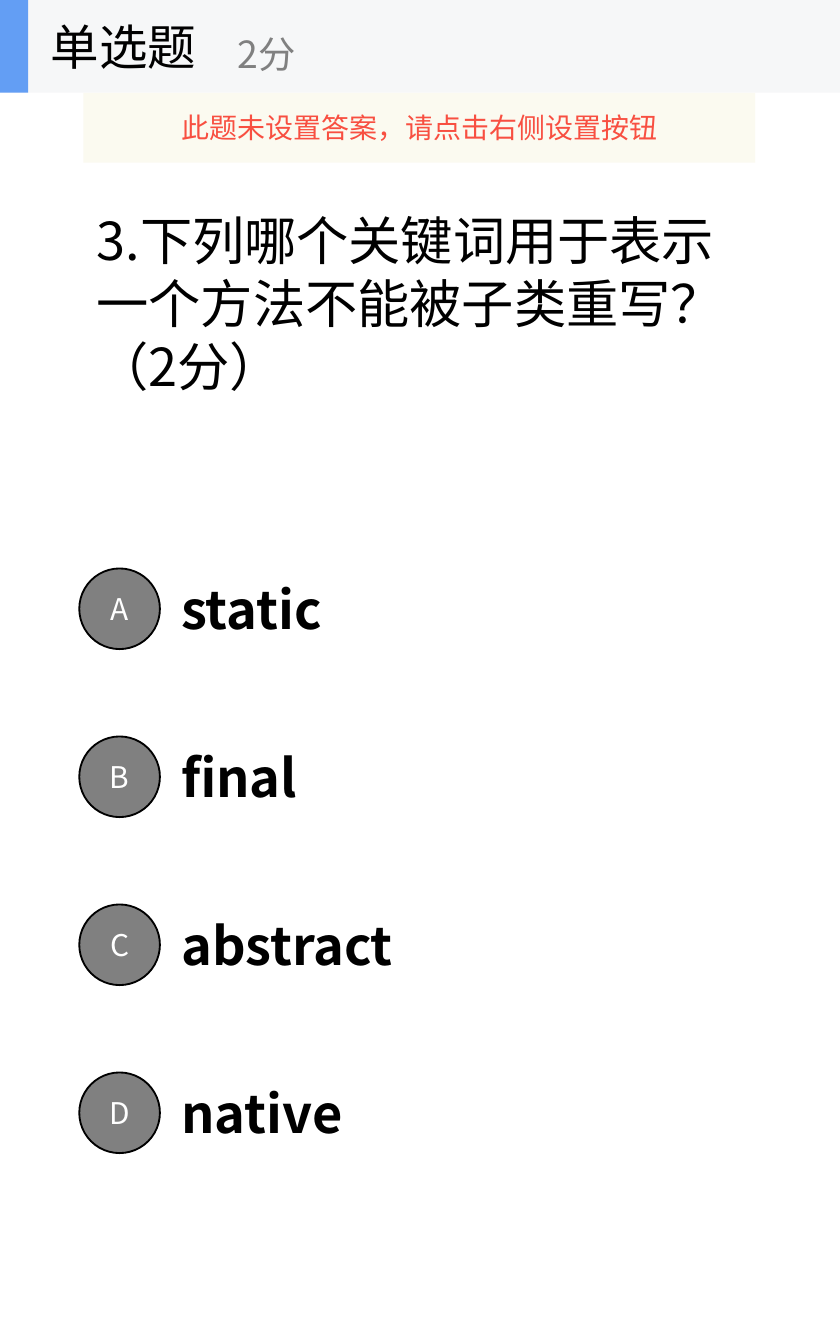
from lxml.etree import SubElement
from pptx import Presentation
from pptx.dml.color import RGBColor
from pptx.enum.shapes import MSO_SHAPE
from pptx.enum.text import MSO_ANCHOR, PP_ALIGN
from pptx.oxml.ns import qn
from pptx.util import Inches, Pt

FONT = "Noto Sans CJK SC"
QUESTION = "3.下列哪个关键词用于表示一个方法不能被子类重写？（2分）"
OPTIONS = [("A", "static"), ("B", "final"), ("C", "abstract"), ("D", "native")]
KIND = "单选题"
SCORE = "2分"
WARNING = "此题未设置答案，请点击右侧设置按钮"

WIDTH, HEIGHT = 6.25, 10
HEADER_HEIGHT = 0.69
MARGIN = 0.62
OPTION_TOP, OPTION_PITCH = 4.06, 1.25
OPTION_LEFT, OPTION_WIDTH, OPTION_HEIGHT = 1.25, 4.38, 0.94
BADGE_LEFT, BADGE_SIZE = 0.59, 0.6


def rgb(color):
    return RGBColor.from_string(color)


def write(shape, text, size, color, bold=False, align=PP_ALIGN.LEFT):
    frame = shape.text_frame
    frame.word_wrap = True
    frame.vertical_anchor = MSO_ANCHOR.MIDDLE
    paragraph = frame.paragraphs[0]
    paragraph.alignment = align
    run = paragraph.add_run()
    run.text = text
    font = run.font
    font.name, font.size, font.bold = FONT, Pt(size), bold
    font.color.rgb = rgb(color)
    SubElement(run._r.get_or_add_rPr(), qn("a:ea"), typeface=FONT)


def add_label(shapes, box, text, size, color="000000", bold=False):
    label = shapes.add_textbox(*map(Inches, box))
    write(label, text, size, color, bold)


def add_block(shapes, preset, box, fill, line=None):
    block = shapes.add_shape(preset, *map(Inches, box))
    block.shadow.inherit = False
    block.fill.solid()
    block.fill.fore_color.rgb = rgb(fill)
    if line:
        block.line.color.rgb = rgb(line)
        block.line.width = Pt(1)
    else:
        block.line.fill.background()
    return block


def main():
    deck = Presentation()
    deck.slide_width, deck.slide_height = Inches(WIDTH), Inches(HEIGHT)
    slide = deck.slides.add_slide(deck.slide_layouts[6])
    shapes = slide.shapes

    add_label(shapes, (MARGIN, HEADER_HEIGHT, 5, 3.12), QUESTION, 28)

    for index, (letter, answer) in enumerate(OPTIONS):
        top = OPTION_TOP + index * OPTION_PITCH
        add_label(shapes, (OPTION_LEFT, top, OPTION_WIDTH, OPTION_HEIGHT),
                  answer, 28, bold=True)
        badge_top = top + (OPTION_HEIGHT - BADGE_SIZE) / 2
        badge = add_block(shapes, MSO_SHAPE.OVAL,
                          (BADGE_LEFT, badge_top, BADGE_SIZE, BADGE_SIZE),
                          "808080", "000000")
        write(badge, letter, 16, "FFFFFF", align=PP_ALIGN.CENTER)

    header = shapes.add_group_shape().shapes
    add_block(header, MSO_SHAPE.RECTANGLE, (0, 0, WIDTH, HEADER_HEIGHT), "F6F7F8")
    add_block(header, MSO_SHAPE.RECTANGLE, (0, 0, 0.21, HEADER_HEIGHT), "639EF4")
    add_label(header, (0.28, 0, 2.08, HEADER_HEIGHT), KIND, 26)
    add_label(header, (1.67, 0.12, 2.5, 0.56), SCORE, 20, "808080")

    banner = add_block(shapes, MSO_SHAPE.RECTANGLE,
                       (MARGIN, HEADER_HEIGHT, 5, 0.52), "FBFAEF")
    tint = banner.fill._xPr.find(qn("a:solidFill")).find(qn("a:srgbClr"))
    SubElement(tint, qn("a:alpha"), val="90000")
    write(banner, WARNING, 15, "F84F41", align=PP_ALIGN.CENTER)

    deck.save("out.pptx")


if __name__ == "__main__":
    main()
